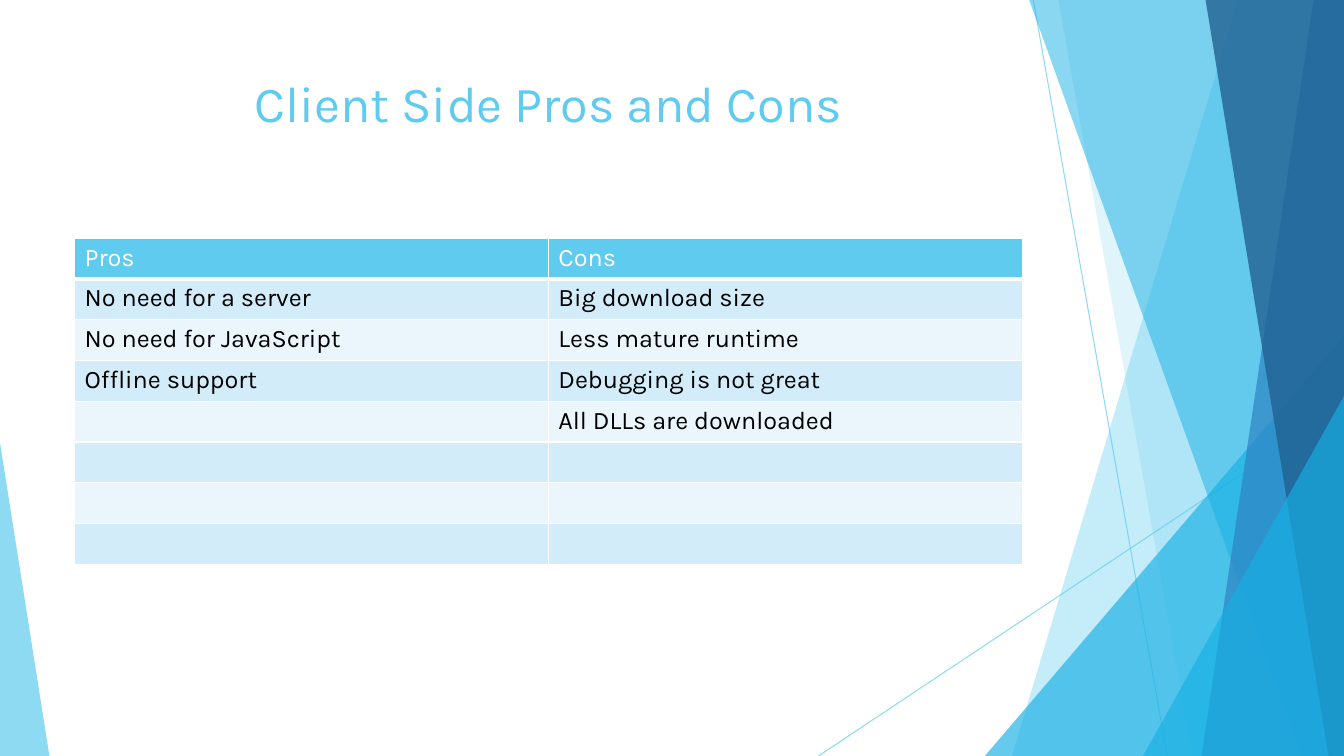
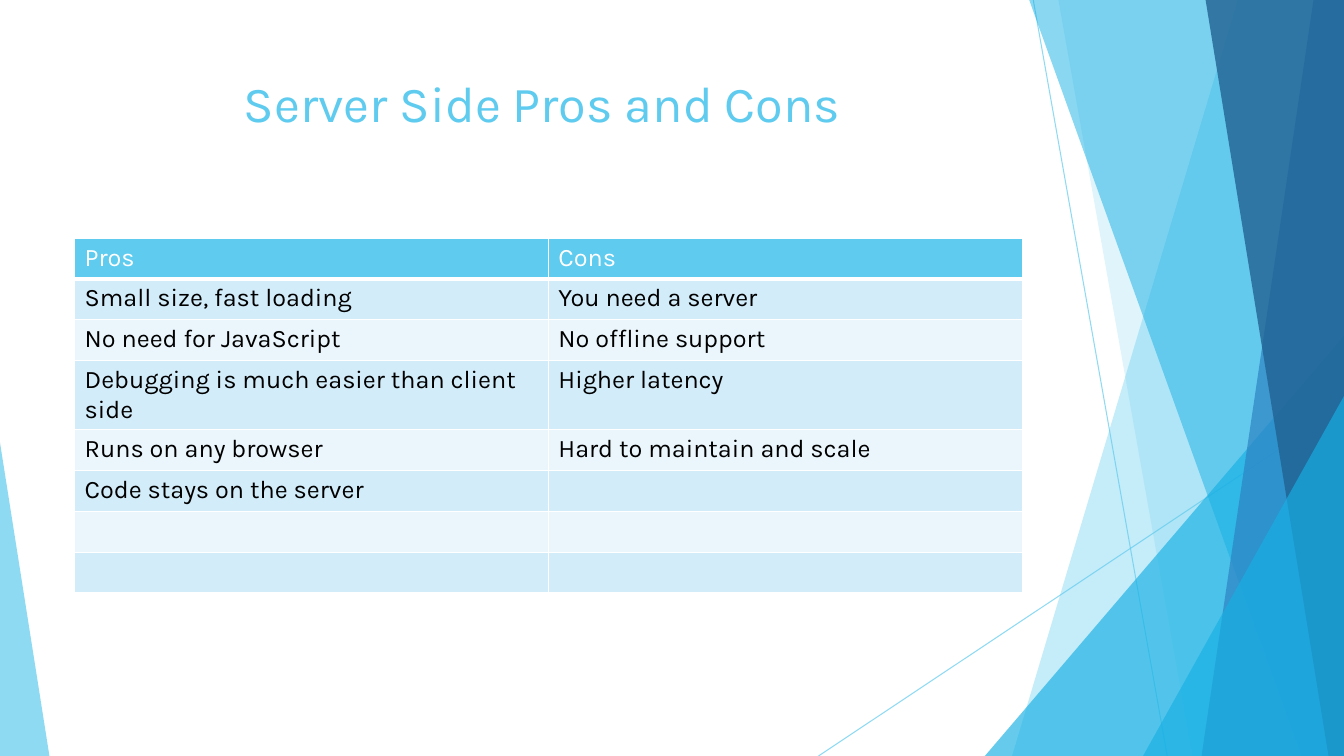
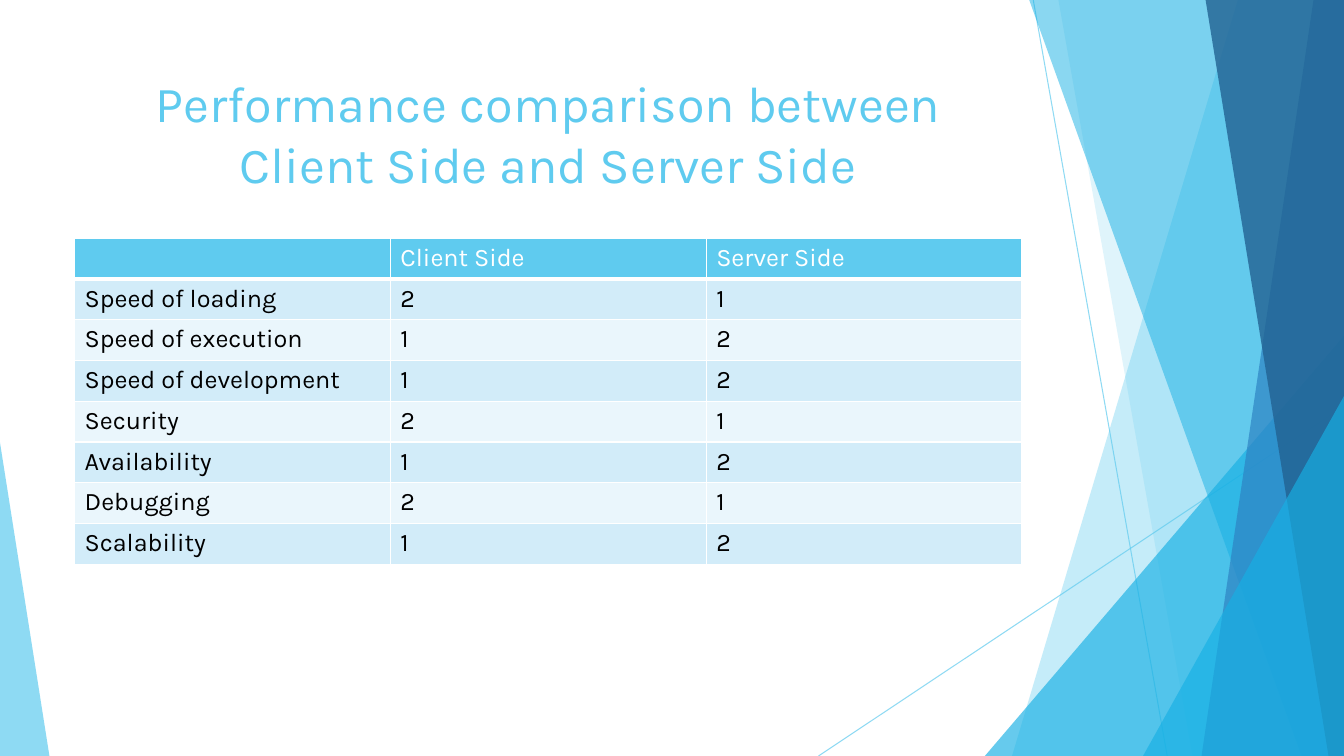
from dataclasses import dataclass

from lxml.etree import SubElement
from pptx import Presentation
from pptx.dml.color import RGBColor
from pptx.enum.shapes import MSO_CONNECTOR as Connector, MSO_SHAPE as Shape
from pptx.enum.text import MSO_ANCHOR as Anchor, MSO_AUTO_SIZE as AutoSize, PP_ALIGN as Align
from pptx.oxml.ns import qn
from pptx.util import Inches, Pt

FONT = "Karla"
SKY, CYAN, BLUE, NAVY = "5FCBEF", "17B0E4", "2E83C3", "226292"
WHITE, BLACK = "FFFFFF", "000000"
BANDS = ("EAF6FC", "D2ECF9")
ROW_COUNT = 8

LINES = [((76.88, 0), (86.85, 100)), ((100, 53.73), (60.9, 100))]

RIBBONS = [
    ("band", 92.1, 75.3, SKY, 36),
    ("band", 78.75, 88.73, SKY, 20),
    ("triangle", (73.28, 44.4, 26.72, 55.6), 1, CYAN, 66),
    ("band", 76.58, 96.83, CYAN, 50),
    ("band", 97.73, 89.4, BLUE, 70),
    ("band", 89.7, 98.85, NAVY, 80),
    ("triangle", (85.05, 52.4, 14.95, 47.6), 1, CYAN, 66),
    ("triangle", (0, 58.53, 3.68, 41.47), 0, SKY, 70),
]

SLIDES = [
    ("Client Side Pros and Cons", [
        ("Pros", "Cons"),
        ("No need for a server", "Big download size"),
        ("No need for JavaScript", "Less mature runtime"),
        ("Offline support", "Debugging is not great"),
        ("", "All DLLs are downloaded"),
    ]),
    ("Server Side Pros and Cons ", [
        ("Pros", "Cons"),
        ("Small size, fast loading", "You need a server"),
        ("No need for JavaScript", "No offline support"),
        ("Debugging is much easier than client side", "Higher latency"),
        ("Runs on any browser", "Hard to maintain and scale"),
        ("Code stays on the server", ""),
    ]),
    ("Performance comparison between Client Side and Server Side", [
        ("", "Client Side", "Server Side"),
        ("Speed of loading", "2", "1"),
        ("Speed of execution", "1", "2"),
        ("Speed of development", "1", "2"),
        ("Security", "2", "1"),
        ("Availability", "1", "2"),
        ("Debugging", "2", "1"),
        ("Scalability", "1", "2"),
    ]),
]


@dataclass
class Box:
    """A region whose contents are placed by percentages of its size."""
    left: int
    top: int
    width: int
    height: int

    def point(self, across, down):
        """Return the position at the given percentages."""
        return (round(self.left + self.width * across / 100),
                round(self.top + self.height * down / 100))

    def region(self, across, down, width, height):
        """Return a smaller region given in percentages."""
        left, top = self.point(across, down)
        right, bottom = self.point(across + width, down + height)
        return Box(left, top, right - left, bottom - top)

    def frame(self):
        """Return left, top, width and height."""
        return self.left, self.top, self.width, self.height


def paint(fill, color):
    """Apply a solid colour given as a hex string."""
    fill.solid()
    fill.fore_color.rgb = RGBColor.from_string(color)


def fade(shape, opacity):
    """Set the opacity of a shape's colour in percent."""
    color = next(shape.element.spPr.iter(qn("a:srgbClr")))
    SubElement(color, qn("a:alpha")).set("val", str(opacity * 1000))


def write_text(frame, text, size=18, color=BLACK, align=Align.LEFT):
    """Write one formatted paragraph in a text frame."""
    paragraph = frame.paragraphs[0]
    paragraph.alignment = align
    paragraph.font.size = Pt(size)
    if text:
        run = paragraph.add_run()
        run.text = text
        run.font.name, run.font.size, run.font.bold = FONT, Pt(size), False
        run.font.color.rgb = RGBColor.from_string(color)


def add_line(slide, box, start, end):
    """Draw one thin translucent line."""
    line = slide.shapes.add_connector(
        Connector.STRAIGHT, *box.point(*start), *box.point(*end))
    line.line.width = Pt(0.75)
    paint(line.line.fill, SKY)
    fade(line, 70)
    SubElement(line.element.spPr, qn("a:effectLst"))
    return line


def add_ribbon(slide, box, kind, place, lean, color, opacity):
    """Draw a band reaching the right edge or a right-angled triangle."""
    if kind == "band":
        builder = slide.shapes.build_freeform(*box.point(place, 0), scale=1.0)
        corners = [(100, 0), (100, 100), (lean, 100)]
        builder.add_line_segments([box.point(*corner) for corner in corners])
        shape = builder.convert_to_shape()
    else:
        shape = slide.shapes.add_shape(
            Shape.ISOSCELES_TRIANGLE, *box.region(*place).frame())
        shape.adjustments[0] = lean
    shape.shadow.inherit = False
    shape.line.fill.background()
    paint(shape.fill, color)
    fade(shape, opacity)
    return shape


def decorate_layout(layout, slide, box):
    """Build the ribbons once and move them to the shared layout."""
    shapes = [add_line(slide, box, *ends) for ends in LINES]
    shapes += [add_ribbon(slide, box, *ribbon) for ribbon in RIBBONS]
    for number, shape in enumerate(shapes, 100):
        next(shape.element.iter(qn("p:cNvPr"))).set("id", str(number))
        layout.shapes.element.append(shape.element)


def place_title(slide, box, text):
    """Move and fill the title placeholder."""
    title = slide.shapes.title
    title.left, title.top, title.width, title.height = box.frame()
    frame = title.text_frame
    frame.word_wrap, frame.auto_size = True, AutoSize.NONE
    frame.vertical_anchor = Anchor.TOP
    write_text(frame, text, size=36, color=SKY, align=Align.CENTER)


def format_cell(cell, fill, bottom):
    """Fill a cell and give it white borders."""
    properties = cell._tc.get_or_add_tcPr()
    for side, width in (("L", 1), ("R", 1), ("T", 1), ("B", bottom)):
        border = SubElement(properties, qn(f"a:ln{side}"), w=str(Pt(width)))
        solid = SubElement(border, qn("a:solidFill"))
        SubElement(solid, qn("a:srgbClr"), val=WHITE)
    paint(cell.fill, fill)


def place_table(slide, box, rows):
    """Fill a banded table with equal columns and rows."""
    column_count = len(rows[0])
    table = slide.shapes.add_table(ROW_COUNT, column_count, *box.frame()).table
    padding = [("",) * column_count] * (ROW_COUNT - len(rows))
    for row, texts in enumerate(rows + padding):
        header = row == 0
        for column, text in enumerate(texts):
            cell = table.cell(row, column)
            format_cell(cell, SKY if header else BANDS[row % 2], 3 if header else 1)
            write_text(cell.text_frame, text, color=WHITE if header else BLACK)


def main():
    """Build and save the presentation."""
    presentation = Presentation()
    presentation.slide_width, presentation.slide_height = Inches(13.33), Inches(7.5)
    page = Box(0, 0, presentation.slide_width, presentation.slide_height)
    layout = presentation.slide_layouts[5]
    for number, (title, rows) in enumerate(SLIDES):
        slide = presentation.slides.add_slide(layout)
        if number == 0:
            decorate_layout(layout, slide, page)
        place_title(slide, page.region(5.55, 8.93, 70.5, 19.2), title)
        place_table(slide, page.region(5.55, 31.47, 70.5, 43.2), rows)
    presentation.save("out.pptx")


if __name__ == "__main__":
    main()
